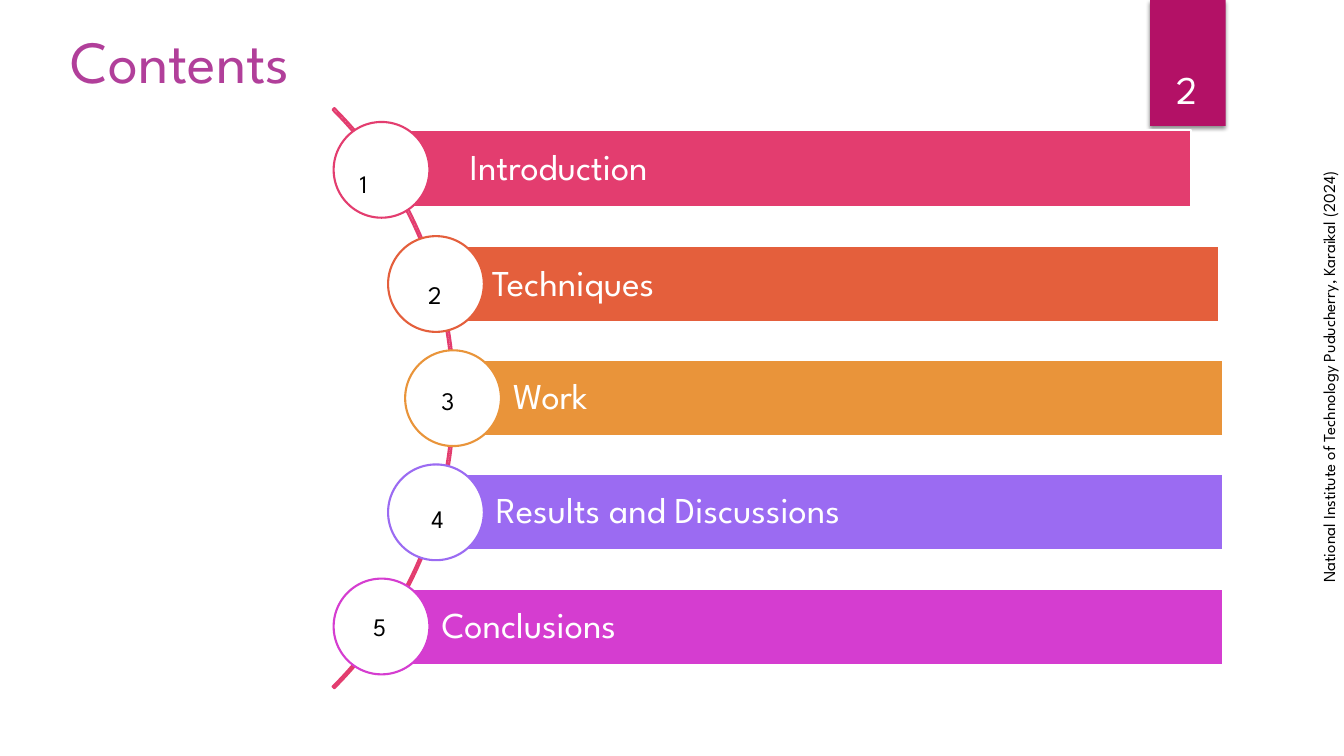
from lxml import etree
from pptx import Presentation
from pptx.dml.color import RGBColor
from pptx.enum.shapes import MSO_SHAPE
from pptx.enum.text import MSO_ANCHOR, MSO_AUTO_SIZE, PP_ALIGN
from pptx.oxml.ns import qn
from pptx.util import Pt

RECT, OVAL, ARC = MSO_SHAPE.RECTANGLE, MSO_SHAPE.OVAL, MSO_SHAPE.BLOCK_ARC
TOP, MIDDLE, BOTTOM = MSO_ANCHOR.TOP, MSO_ANCHOR.MIDDLE, MSO_ANCHOR.BOTTOM
LEFT, CENTER = PP_ALIGN.LEFT, PP_ALIGN.CENTER
FIT_SHAPE = MSO_AUTO_SIZE.SHAPE_TO_FIT_TEXT

WHITE = RGBColor(0xFF, 0xFF, 0xFF)
BLACK = RGBColor(0x00, 0x00, 0x00)
TAB = RGBColor(0xB3, 0x11, 0x66)
PURPLE = RGBColor(0xB1, 0x3F, 0x9A)
PINK = RGBColor(0xE3, 0x3D, 0x6F)
RED = RGBColor(0xE4, 0x5F, 0x3C)
ORANGE = RGBColor(0xE9, 0x94, 0x3A)
VIOLET = RGBColor(0x9B, 0x6B, 0xF2)
MAGENTA = RGBColor(0xD5, 0x3D, 0xD0)
FONT = "League Spartan"

# Content: label, colour, bar (left, top, width), circle left, number (left, top)
TITLE = "Contents"
PAGE = "2"
CREDIT = "National Institute of Technology Puducherry, Karaikal (2024)"
TOPICS = [
    ("Introduction", PINK, (292.3, 92.9, 558.7), 238.3, (249.8, 116.6)),
    ("Techniques", RED, (308.2, 175.7, 562.3), 277.2, (298.8, 195.8)),
    ("Work", ORANGE, (323.3, 257, 550), 289.4, (308.2, 271.4)),
    ("Results and Discussions", VIOLET, (311, 338.4, 562.3), 277.2, (301, 355.7)),
    ("Conclusions", MAGENTA, (272.2, 420.5, 601.2), 238.3, (259.2, 433.4)),
]
BAR_H = 54.7
CIRCLE_TOP, CIRCLE_STEP, CIRCLE_D = 87.1, 81.55, 68.4
ARC_BOX = (-261.4, -8.6, 586.1, 586.1)
ARC_ADJUST = (189, 27, 0.003)

prs = Presentation()
prs.slide_width, prs.slide_height = Pt(960), Pt(540)
s = prs.slides.add_slide(prs.slide_layouts[6])


def add_shape(kind, box, fill=None, line=None):
    sp = s.shapes.add_shape(kind, *map(Pt, box))
    sp.shadow.inherit = False
    if fill is None:
        sp.fill.background()
    else:
        sp.fill.solid()
        sp.fill.fore_color.rgb = fill
    if line is None:
        sp.line.fill.background()
    else:
        sp.line.color.rgb = line
        sp.line.width = Pt(1.5)
    return sp


def set_text(sp, text, size, color, align=LEFT, spacing=None,
             insets=(7.2, 3.6, 7.2, 3.6), **frame):
    tf = sp.text_frame
    left, top, right, bottom = map(Pt, insets)
    values = {"word_wrap": True, "vertical_anchor": TOP, **frame,
              "margin_left": left, "margin_top": top,
              "margin_right": right, "margin_bottom": bottom}
    for name, value in values.items():
        setattr(tf, name, value)
    p = tf.paragraphs[0]
    p.alignment = align
    p.line_spacing = spacing
    r = p.add_run()
    r.text = text
    for name, value in {"name": FONT, "size": Pt(size)}.items():
        setattr(r.font, name, value)
    r.font.color.rgb = color


def add_text(box, *args, **kwargs):
    sp = s.shapes.add_textbox(*map(Pt, box))
    set_text(sp, *args, **kwargs)
    return sp


def add_shadow(sp, blur, distance, angle, opacity):
    effects = sp._element.spPr.find(qn("a:effectLst"))
    shadow = etree.SubElement(effects, qn("a:outerShdw"), {
        "blurRad": str(Pt(blur)), "dist": str(Pt(distance)),
        "dir": str(angle * 60000), "rotWithShape": "0"})
    color = etree.SubElement(shadow, qn("a:srgbClr"), val=str(BLACK))
    etree.SubElement(color, qn("a:alpha"), val=str(opacity * 1000))


# Page tab and title
tab = add_shape(RECT, (821.5, 0, 54, 90), TAB)
add_shadow(tab, 3, 2, 90, 45)
add_text((45.4, 14.4, 740.9, 51.8), TITLE, 42.7, PURPLE, insets=(5, 2.9, 5, 2.9))

# Arc behind the topics
arc = add_shape(ARC, ARC_BOX, line=PINK)
for i, value in enumerate(ARC_ADJUST):
    arc.adjustments[i] = value

# Topic bars with their circles
for i, (label, color, bar, circle_left, _) in enumerate(TOPICS):
    sp = add_shape(RECT, (*bar, BAR_H), color, WHITE)
    set_text(sp, label, 26, WHITE, spacing=0.9, insets=(43.2, 5, 5, 5),
             vertical_anchor=MIDDLE)
    circle_top = CIRCLE_TOP + i * CIRCLE_STEP
    add_shape(OVAL, (circle_left, circle_top, CIRCLE_D, CIRCLE_D), WHITE, color)

# Topic numbers
for number, topic in enumerate(TOPICS, 1):
    add_text((*topic[-1], 24.5, 28.8), str(number), 18, BLACK,
             word_wrap=False, auto_size=FIT_SHAPE)

# Side credit and page number
credit = add_text((768.2, 258.5, 361.4, 21.6), CREDIT, 12, BLACK, CENTER,
                  auto_size=FIT_SHAPE)
credit.rotation = 270
add_text((815, 23, 66.2, 60.5), PAGE, 28, WHITE, CENTER, vertical_anchor=BOTTOM)

prs.save("out.pptx")
